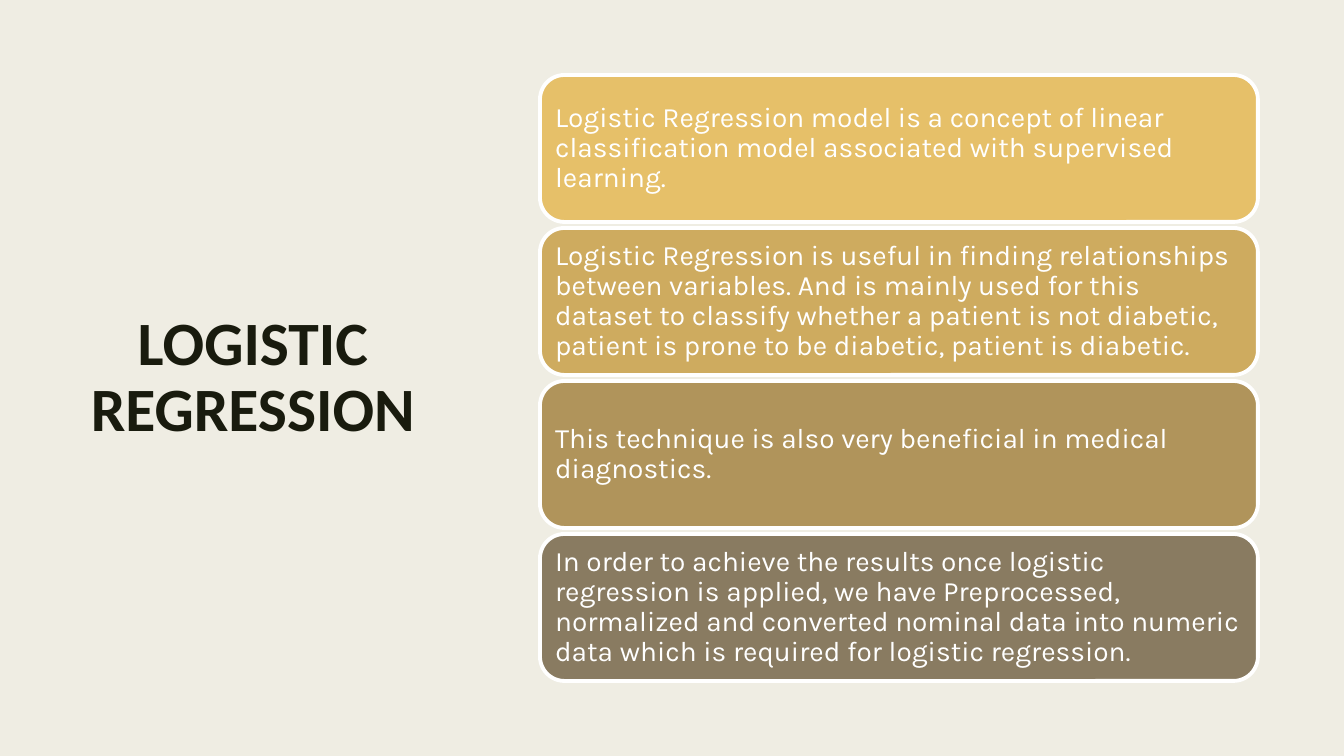
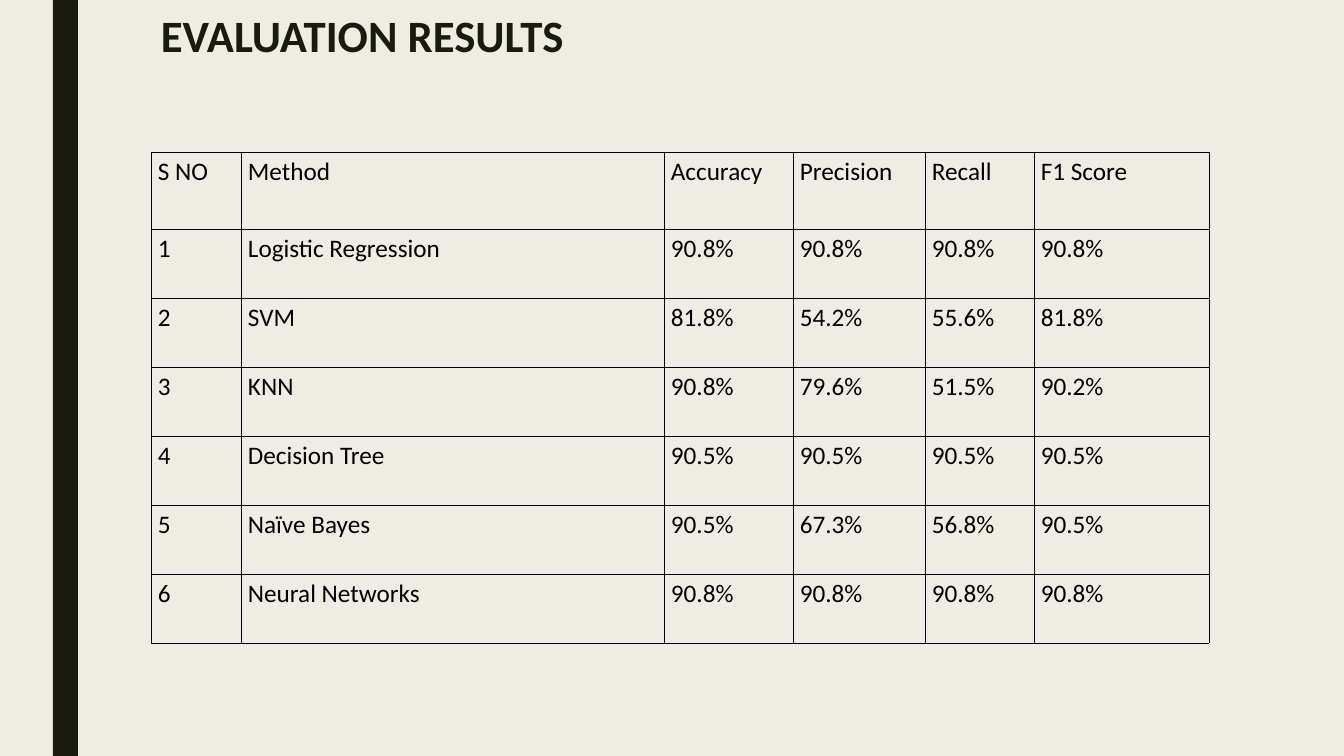
from itertools import accumulate

from lxml.etree import SubElement
from pptx import Presentation
from pptx.dml.color import RGBColor
from pptx.enum.shapes import MSO_SHAPE
from pptx.enum.text import MSO_ANCHOR, PP_ALIGN
from pptx.oxml.ns import qn
from pptx.util import Emu, Pt

SLIDE_WIDTH, SLIDE_HEIGHT = 1344, 756
BACKGROUND = RGBColor(0xEF, 0xED, 0xE3)
DARK = RGBColor(0x19, 0x1B, 0x0E)
BLACK = RGBColor(0x00, 0x00, 0x00)
WHITE = RGBColor(0xFF, 0xFF, 0xFF)
GOLD = RGBColor(0xE6, 0xC0, 0x69)
OCHRE = RGBColor(0xCE, 0xAB, 0x5F)
BRONZE = RGBColor(0xB0, 0x94, 0x5B)
TAUPE = RGBColor(0x89, 0x7B, 0x61)
HEADING_FONT, CARD_FONT = "Calibri", "Karla"

CARDS = [
    (GOLD, "Logistic Regression model is a concept of linear classification model "
           "associated with supervised learning."),
    (OCHRE, "Logistic Regression is useful in finding relationships between variables. "
            "And is mainly used for this dataset to classify whether a patient is not "
            "diabetic, patient is prone to be diabetic, patient is diabetic."),
    (BRONZE, "This technique is also very beneficial in medical diagnostics."),
    (TAUPE, "In order to achieve the results once logistic regression is applied, we have "
            "Preprocessed, normalized and converted nominal data into numeric data which "
            "is required for logistic regression."),
]
RESULTS = [
    ("S NO", "Method", "Accuracy", "Precision", "Recall", "F1 Score"),
    ("1", "Logistic Regression", "90.8%", "90.8%", "90.8%", "90.8%"),
    ("2", "SVM", "81.8%", "54.2%", "55.6%", "81.8%"),
    ("3", "KNN", "90.8%", "79.6%", "51.5%", "90.2%"),
    ("4", "Decision Tree", "90.5%", "90.5%", "90.5%", "90.5%"),
    ("5", "Naïve Bayes", "90.5%", "67.3%", "56.8%", "90.5%"),
    ("6", "Neural Networks", "90.8%", "90.8%", "90.8%", "90.8%"),
]
COLUMN_EDGES = list(accumulate([90, 423, 129, 132, 109, 175]))
HEADER_HEIGHT, ROW_HEIGHT = 77, 69


def px(length):
    """Turn pixels into EMU."""
    return Emu(round(length * 914400 / 100.8))


def style_text(text_frame, font_name, size, color, bold=False, spacing=None, align=PP_ALIGN.LEFT):
    """Format every paragraph and run of a text frame."""
    for paragraph in text_frame.paragraphs:
        paragraph.alignment = align
        paragraph.line_spacing = spacing
        for run in paragraph.runs:
            run.font.name = font_name
            run.font.size = Pt(size)
            run.font.bold = bold
            run.font.color.rgb = color


def set_margins(holder, horizontal, vertical):
    """Set the inner margins of a text frame or a table cell."""
    holder.margin_left = holder.margin_right = px(horizontal)
    holder.margin_top = holder.margin_bottom = px(vertical)


def add_slide(presentation):
    """Add a blank slide with the shared background."""
    slide = presentation.slides.add_slide(presentation.slide_layouts[6])
    slide.background.fill.solid()
    slide.background.fill.fore_color.rgb = BACKGROUND
    return slide


def add_title(slide, box, text, size, align=PP_ALIGN.LEFT, anchor=MSO_ANCHOR.TOP):
    """Place a slide title in the given box."""
    text_frame = slide.shapes.add_textbox(*map(px, box)).text_frame
    text_frame.word_wrap = True
    text_frame.vertical_anchor = anchor
    text_frame.text = text
    style_text(text_frame, HEADING_FONT, size, DARK, True, 0.89, align)


def add_side_band(slide, box):
    """Draw the dark vertical band."""
    band = slide.shapes.add_shape(MSO_SHAPE.RECTANGLE, *map(px, box))
    band.shadow.inherit = False
    band.fill.solid()
    band.fill.fore_color.rgb = DARK
    band.line.fill.background()


def add_card(slide, box, color, text):
    """Draw one rounded card with its statement."""
    card = slide.shapes.add_shape(MSO_SHAPE.ROUNDED_RECTANGLE, *map(px, box))
    card.shadow.inherit = False
    card.fill.solid()
    card.fill.fore_color.rgb = color
    card.line.color.rgb = WHITE
    card.line.width = Pt(2.75)
    text_frame = card.text_frame
    text_frame.word_wrap = True
    text_frame.vertical_anchor = MSO_ANCHOR.MIDDLE
    set_margins(text_frame, 8, 8)
    text_frame.text = text
    style_text(text_frame, CARD_FONT, 20, WHITE, spacing=0.9)


def add_card_stack(slide, box, cards, gap):
    """Stack equal cards over the height of the box."""
    left, top, width, height = box
    card_height = (height - gap * (len(cards) - 1)) / len(cards)
    for index, (color, text) in enumerate(cards):
        card_top = top + index * (card_height + gap)
        add_card(slide, (left, card_top, width, card_height), color, text)


def add_borders(cell):
    """Draw a thin black line on each side of a cell."""
    properties = cell._tc.get_or_add_tcPr()
    for side in ("a:lnL", "a:lnR", "a:lnT", "a:lnB"):
        line = SubElement(properties, qn(side), w=str(Pt(0.5)))
        fill = SubElement(line, qn("a:solidFill"))
        SubElement(fill, qn("a:srgbClr"), val=str(BLACK))


def add_results_table(slide, box, rows):
    """Place the bordered results table in the box."""
    table = slide.shapes.add_table(len(rows), len(rows[0]), *map(px, box)).table
    table.first_row = table.horz_banding = False
    for column, start, end in zip(table.columns, [0] + COLUMN_EDGES, COLUMN_EDGES):
        column.width = px(end - start)
    for index, (row, values) in enumerate(zip(table.rows, rows)):
        row.height = px(ROW_HEIGHT if index else HEADER_HEIGHT)
        for cell, value in zip(row.cells, values):
            cell.text = value
            set_margins(cell, 7, 5)
            add_borders(cell)
            cell.fill.background()
            style_text(cell.text_frame, HEADING_FONT, 18, BLACK)


def build_regression_slide(presentation):
    """Build the slide with a title beside four cards."""
    slide = add_slide(presentation)
    add_title(slide, (71, 71, 364, 615), "LOGISTIC REGRESSION", 44,
              PP_ALIGN.CENTER, MSO_ANCHOR.MIDDLE)
    add_card_stack(slide, (540, 75, 718, 606), CARDS, 6)


def build_results_slide(presentation):
    """Build the slide with the evaluation table."""
    slide = add_slide(presentation)
    add_side_band(slide, (53, 0, 25, SLIDE_HEIGHT))
    add_title(slide, (151, 9, 1058, 53), "EVALUATION RESULTS", 32)
    table_height = HEADER_HEIGHT + ROW_HEIGHT * (len(RESULTS) - 1)
    add_results_table(slide, (151, 152, COLUMN_EDGES[-1], table_height), RESULTS)


def main():
    """Build and save the presentation."""
    presentation = Presentation()
    presentation.slide_width = px(SLIDE_WIDTH)
    presentation.slide_height = px(SLIDE_HEIGHT)
    build_regression_slide(presentation)
    build_results_slide(presentation)
    presentation.save("out.pptx")


main()
